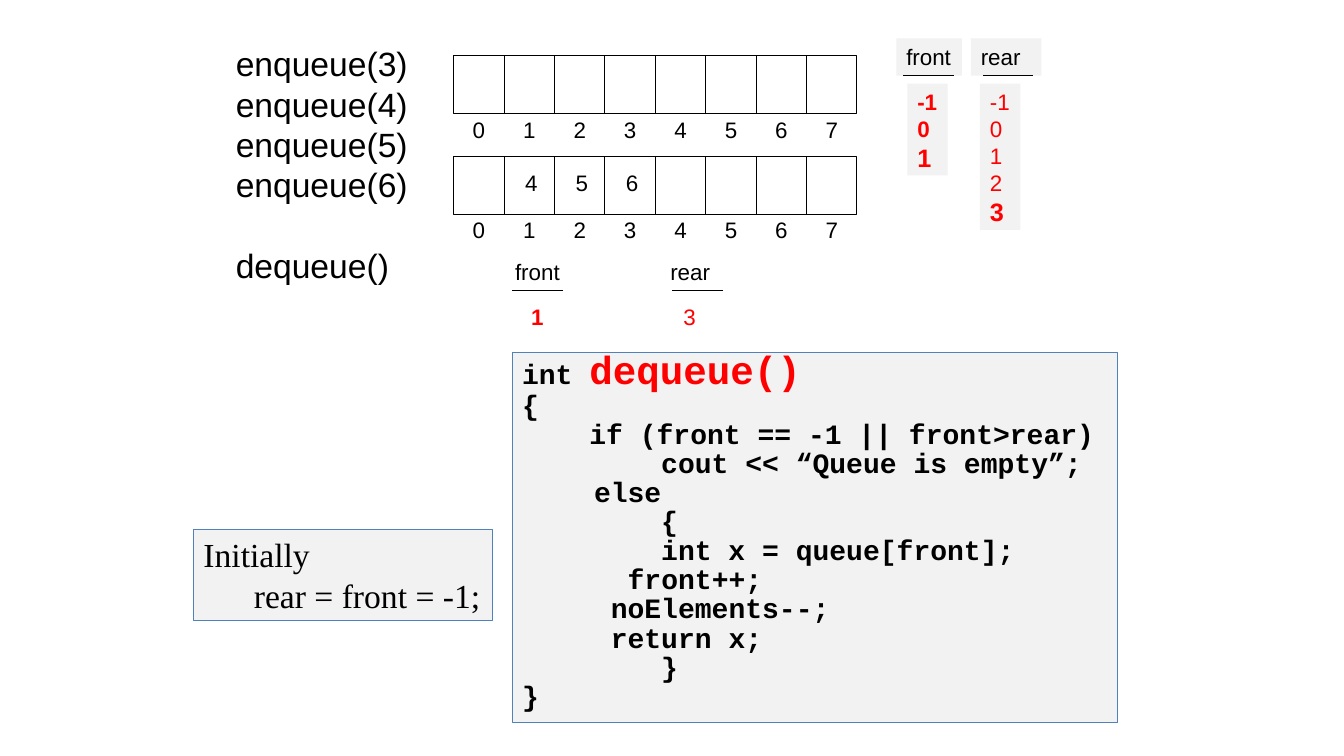
from dataclasses import dataclass

from lxml.etree import SubElement
from pptx import Presentation
from pptx.dml.color import RGBColor
from pptx.enum.shapes import MSO_CONNECTOR, MSO_SHAPE
from pptx.enum.text import MSO_ANCHOR, MSO_AUTO_SIZE, PP_ALIGN
from pptx.oxml.ns import qn
from pptx.util import Pt

PX = 9144


@dataclass(frozen=True)
class Theme:
    ink: RGBColor = RGBColor(0, 0, 0)
    accent: RGBColor = RGBColor(255, 0, 0)
    panel: RGBColor = RGBColor(242, 242, 242)
    paper: RGBColor = RGBColor(255, 255, 255)
    border: RGBColor = RGBColor(79, 129, 189)
    sans: str = "Arial"
    serif: str = "Times New Roman"
    mono: str = "Courier New"
    label: int = 16
    latest: int = 18
    code: int = 20
    body: int = 24
    title: int = 28
    hairline: float = 0.75


THEME = Theme()
CELLS, CELL, ROW_HEIGHT = 8, 50, 58
LABEL_HEIGHT = 37
CODE = [
    "int dequeue()",
    "{",
    "    if (front == -1 || front>rear)",
    "\t\t\tcout << “Queue is empty”;",
    "\t  else",
    "\t\t\t{",
    "\t\t\tint x = queue[front];",
    "\t    front++;",
    "\t  \tnoElements--;",
    "\t  \treturn x;",
    "\t\t\t}",
    "}",
]


def emu(*lengths):
    return [length * PX for length in lengths]


def style(run, size, color=THEME.ink, face=THEME.sans, bold=False):
    run.font.size = Pt(size)
    run.font.name = face
    run.font.bold = bold
    run.font.color.rgb = color


def add_panel(slide, box, fill, border=None):
    panel = slide.shapes.add_shape(MSO_SHAPE.RECTANGLE, *emu(*box))
    panel.shadow.inherit = False
    panel.fill.solid()
    panel.fill.fore_color.rgb = fill
    if border is None:
        panel.line.fill.background()
    else:
        panel.line.color.rgb = border
        panel.line.width = Pt(THEME.hairline)
    return panel


def add_rule(slide, x1, y1, x2, y2):
    rule = slide.shapes.add_connector(MSO_CONNECTOR.STRAIGHT, *emu(x1, y1, x2, y2))
    rule.line.color.rgb = THEME.ink
    rule.line.width = Pt(THEME.hairline)
    SubElement(rule._element.spPr, qn("a:effectLst"))


def write(slide, box, text, size=THEME.label, color=THEME.ink, face=THEME.sans,
          bold=False, fill=None, border=None, wrap=False):
    if fill is None:
        holder = slide.shapes.add_textbox(*emu(*box))
    else:
        holder = add_panel(slide, box, fill, border)
    frame = holder.text_frame
    frame.text = text
    frame.word_wrap = wrap
    frame.auto_size = MSO_AUTO_SIZE.SHAPE_TO_FIT_TEXT
    frame.vertical_anchor = MSO_ANCHOR.TOP
    for paragraph in frame.paragraphs:
        paragraph.alignment = PP_ALIGN.LEFT
        for run in paragraph.runs:
            style(run, size, color, face, bold)
    return frame.paragraphs


def queue_row(slide, x, y, contents):
    add_panel(slide, (x, y, CELLS * CELL, ROW_HEIGHT), THEME.paper, THEME.ink)
    for index in range(CELLS):
        left = x + index * CELL
        if index:
            add_rule(slide, left, y, left, y + ROW_HEIGHT)
        write(slide, (left + 9, y + 55, 32, LABEL_HEIGHT), str(index))
        if index in contents:
            write(slide, (left + 11, y + 8, 33, LABEL_HEIGHT), contents[index])


def pointer(slide, box, name, rule_dx, value_dx, values, bold, fill=None):
    x, y, width = box
    write(slide, (x, y, width, LABEL_HEIGHT), name, fill=fill, wrap=name == "rear")
    add_rule(slide, x + rule_dx, y + 37, x + rule_dx + 50, y + 37)
    value_box = (x + value_dx, y + 45, 40 if fill else 33, 10 + 27 * len(values))
    lines = write(slide, value_box, "\n".join(values), color=THEME.accent,
                  bold=bold, fill=fill)
    if len(values) > 1:
        style(lines[-1].runs[0], THEME.latest, THEME.accent, bold=True)


def call_list(slide, box):
    calls = [f"enqueue({value})" for value in range(3, 7)] + ["dequeue()"]
    lines = write(slide, box, "\n".join(calls), THEME.body)
    lines[-1].space_before = Pt(1.2 * THEME.body)


def code_panel(slide, box):
    frame = add_panel(slide, box, THEME.panel, THEME.border).text_frame
    frame.word_wrap = True
    frame.vertical_anchor = MSO_ANCHOR.TOP
    frame.text = "\n".join(CODE)
    for number, line in enumerate(frame.paragraphs):
        line.alignment = PP_ALIGN.LEFT
        line.line_spacing = 0.7
        if number:
            line.space_before = Pt(0.2 * THEME.code)
        properties = line._p.get_or_add_pPr()
        properties.set("marL", str(38 * PX))
        properties.set("indent", str(-38 * PX))
        for run in line.runs:
            style(run, THEME.code, face=THEME.mono, bold=True)
    signature = frame.paragraphs[0]
    signature.runs[0].text = "int "
    function_name = signature.add_run()
    function_name.text = "dequeue()"
    style(function_name, THEME.title, THEME.accent, THEME.mono, True)


def initial_state(slide, box):
    lines = write(slide, box, "Initially\nrear = front = -1;", THEME.body,
                  face=THEME.serif, fill=THEME.panel, border=THEME.border)
    lines[1]._p.get_or_add_pPr().set("marL", str(50 * PX))


def main():
    deck = Presentation()
    deck.slide_width, deck.slide_height = emu(1333, 750)
    slide = deck.slides.add_slide(deck.slide_layouts[6])
    code_panel(slide, (508, 350, 600, 367))
    call_list(slide, (224, 38, 196, 252))
    queue_row(slide, 450, 55, {})
    queue_row(slide, 450, 155, {1: "4", 2: "5", 3: "6"})
    pointer(slide, (889, 38, 65), "front", 7, 11, ["-1", "0", "1"], True, THEME.panel)
    pointer(slide, (963, 38, 70), "rear", 12, 9, ["-1", "0", "1", "2", "3"], False,
            THEME.panel)
    pointer(slide, (501, 251, 65), "front", 7, 16, ["1"], True)
    pointer(slide, (655, 251, 70), "rear", 12, 13, ["3"], False)
    initial_state(slide, (192, 525, 297, 91))
    deck.save("out.pptx")


if __name__ == "__main__":
    main()
